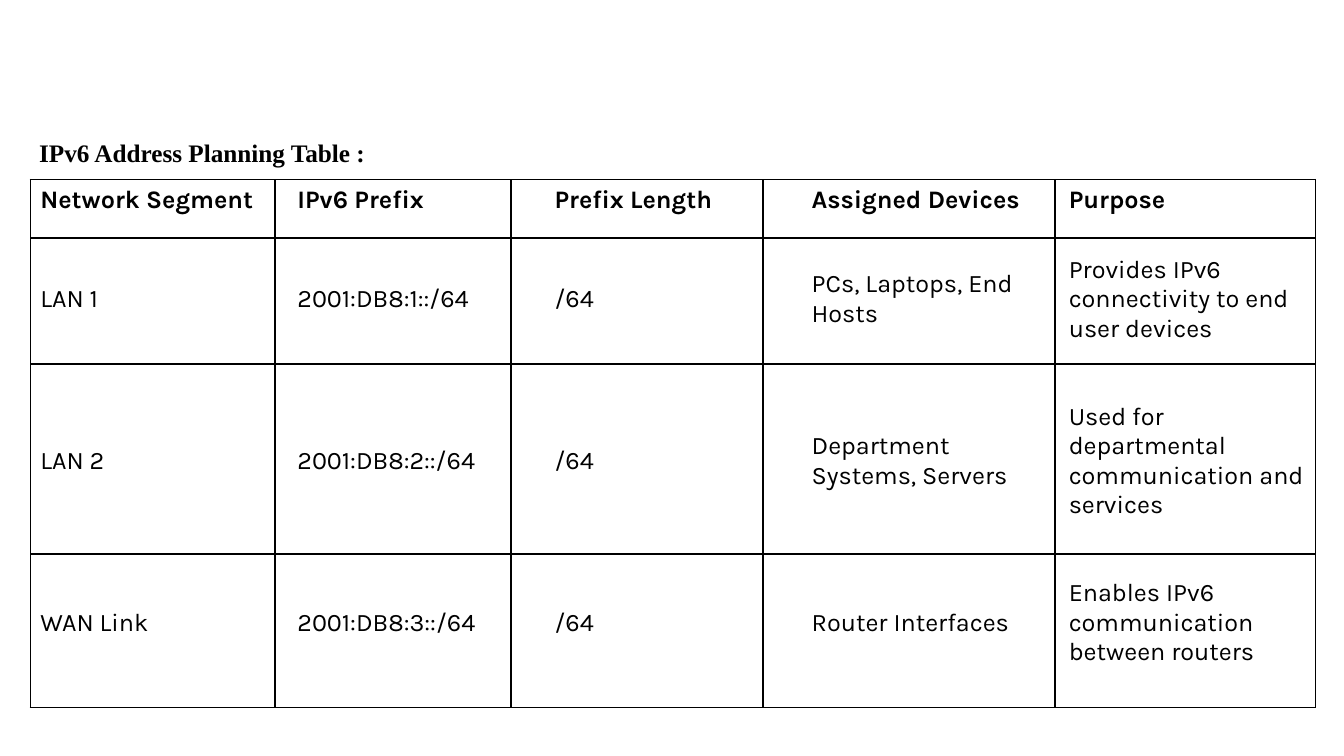
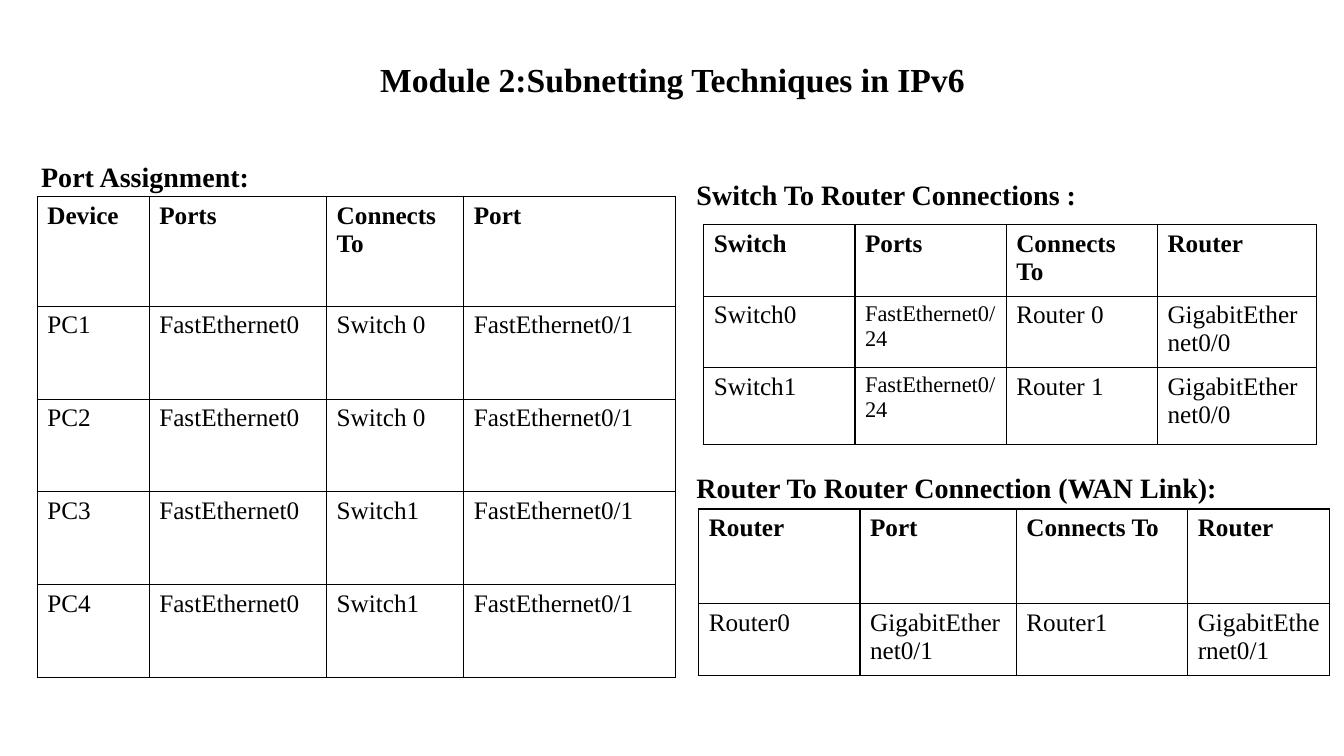
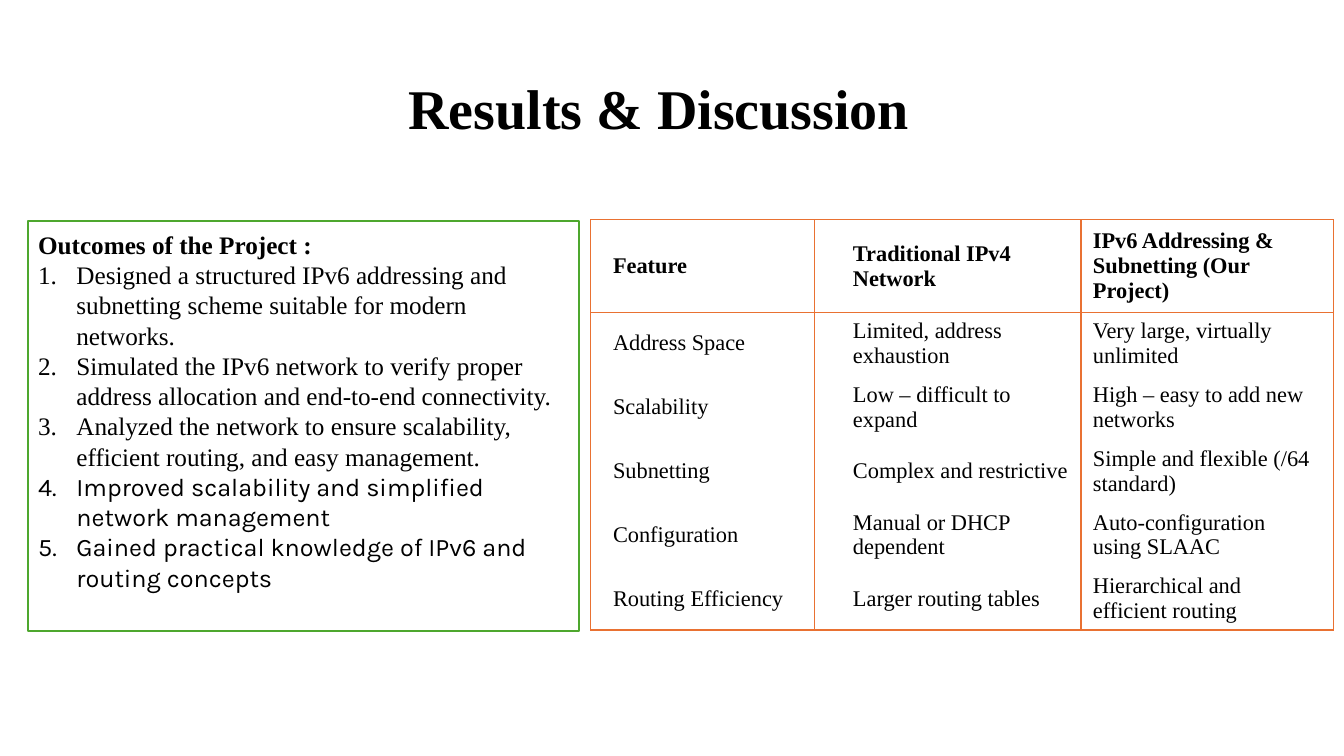
from lxml import etree
from pptx import Presentation
from pptx.dml.color import RGBColor
from pptx.enum import shapes, text
from pptx.oxml import ns
from pptx.util import Inches, Pt

HUES = {"ink": "000000", "paper": "FFFFFF", "green": "4EA72E", "orange": "E97132"}
SERIF, SANS = "Times New Roman", "Karla"
MID = text.MSO_ANCHOR.MIDDLE

PLAN = [
    ["Network Segment", "IPv6 Prefix", "Prefix Length", "Assigned Devices", "Purpose"],
    ["LAN 1", "2001:DB8:1::/64", "/64", "PCs, Laptops, End Hosts",
     "Provides IPv6 connectivity to end user devices"],
    ["LAN 2", "2001:DB8:2::/64", "/64", "Department Systems, Servers",
     "Used for departmental communication and services"],
    ["WAN Link", "2001:DB8:3::/64", "/64", "Router Interfaces",
     "Enables IPv6 communication between routers"],
]
PORTS = [["Device", "Ports", "Connects To", "Port"]] + [
    [f"PC{i}", "FastEthernet0", hub, "FastEthernet0/1"]
    for i, hub in enumerate(["Switch 0", "Switch 0", "Switch1", "Switch1"], 1)
]
LINKS = [["Switch", "Ports", "Connects To", "Router"]] + [
    [f"Switch{i}", "FastEthernet0/24", f"Router {i}", "GigabitEthernet0/0"] for i in range(2)
]
WAN = [
    ["Router", "Port", "Connects To", "Router"],
    ["Router0", "GigabitEthernet0/1", "Router1", "GigabitEthernet0/1"],
]
GAINS = [
    ("Designed a structured IPv6 addressing and subnetting scheme suitable for modern networks.", SERIF),
    ("Simulated the IPv6 network to verify proper address allocation and end-to-end connectivity.", SERIF),
    ("Analyzed the network to ensure scalability, efficient routing, and easy management.", SERIF),
    ("Improved scalability and simplified network management", SANS),
    ("Gained practical knowledge of IPv6 and routing concepts", SANS),
]
TRAITS = [
    ["Feature", "Traditional IPv4 Network", "IPv6 Addressing & Subnetting (Our Project)"],
    ["Address Space", "Limited, address exhaustion", "Very large, virtually unlimited"],
    ["Scalability", "Low – difficult to expand", "High – easy to add new networks"],
    ["Subnetting", "Complex and restrictive", "Simple and flexible (/64 standard)"],
    ["Configuration", "Manual or DHCP dependent", "Auto-configuration using SLAAC"],
    ["Routing Efficiency", "Larger routing tables", "Hierarchical and efficient routing"],
]


def tint(name):
    """Return a named colour."""
    return RGBColor.from_string(HUES[name])


def write(para, words, size, bold=False, font=SERIF):
    """Add one styled run to a paragraph."""
    run = para.add_run()
    run.text = words
    run.font.size, run.font.bold, run.font.name = Pt(size), bold, font
    run.font.color.rgb = tint("ink")


def label(slide, box, words, size, title=False):
    """Place a bold heading, centred when it is the slide title."""
    frame = slide.shapes.add_textbox(*map(Inches, box)).text_frame
    frame.word_wrap = True
    para = frame.paragraphs[0]
    if title:
        frame.vertical_anchor = MID
        para.alignment = text.PP_ALIGN.CENTER
        para.line_spacing = 0.9
    write(para, words, size, True)


def edge(cell, hue):
    """Draw a one-point line on each side of a cell."""
    props = cell._tc.get_or_add_tcPr()
    for i, side in enumerate("LRTB"):
        line = etree.Element(ns.qn(f"a:ln{side}"), w=str(Pt(1)))
        fill = etree.SubElement(line, ns.qn("a:solidFill"))
        etree.SubElement(fill, ns.qn("a:srgbClr"), val=HUES[hue])
        props.insert(i, line)


def grid(slide, at, cols, rows, data, size=18, font=SERIF, anchor=None, hue=None, small=()):
    """Place a table with a bold first row; small holds words set two points down."""
    box = map(Inches, (*at, sum(cols), sum(rows)))
    table = slide.shapes.add_table(len(rows), len(cols), *box).table
    table.first_row = table.horz_banding = False
    for col, wide in zip(table.columns, cols):
        col.width = Inches(wide)
    for r, high in enumerate(rows):
        table.rows[r].height = Inches(high)
        for c, words in enumerate(data[r]):
            cell = table.cell(r, c)
            cell.fill.background()
            if anchor:
                cell.vertical_anchor = anchor
            if words:
                write(cell.text_frame.paragraphs[0], words, size - 2 * (words in small), r == 0, font)
            if hue:
                edge(cell, hue)


def rules(slide, box, hue, width, xs, ys):
    """Frame a box and rule it at offsets from its left and top."""
    left, top, wide, high = box
    grid(slide, (left, top), [wide], [high], [[""]], hue=hue)
    lines = [(left + x, top, left + x, top + high) for x in xs]
    lines += [(left, top + y, left + wide, top + y) for y in ys]
    for ends in lines:
        line = slide.shapes.add_connector(shapes.MSO_CONNECTOR.STRAIGHT, *map(Inches, ends))
        line.line.color.rgb, line.line.width = tint(hue), Pt(width)
        etree.SubElement(line._element.spPr, ns.qn("a:effectLst"))


def gains(slide, box):
    """Place the green box with its numbered outcomes."""
    shape = slide.shapes.add_shape(shapes.MSO_SHAPE.RECTANGLE, *map(Inches, box))
    shape.shadow.inherit = False
    shape.fill.solid()
    shape.fill.fore_color.rgb = tint("paper")
    shape.line.color.rgb, shape.line.width = tint("green"), Pt(1.5)
    frame = shape.text_frame
    frame.word_wrap, frame.vertical_anchor = True, MID
    frame.margin_bottom = Inches(0.35)
    write(frame.paragraphs[0], "Outcomes of the Project :", 18, True)
    for words, font in GAINS:
        para = frame.add_paragraph()
        write(para, words, 18, font=font)
        props = para._p.get_or_add_pPr()
        props.set("marL", str(Inches(0.38)))
        props.set("indent", str(-Inches(0.38)))
        etree.SubElement(props, ns.qn("a:buFont"), typeface="+mj-lt")
        etree.SubElement(props, ns.qn("a:buAutoNum"), type="arabicPeriod")
    for para in frame.paragraphs:
        para.alignment = text.PP_ALIGN.LEFT
        para.line_spacing = Pt(21.6)


def plan(slide):
    """Build the address planning slide."""
    grid(slide, (0.3, 1.71), [2.55] * 5, [0.56, 1.4, 1.81, 1.4], PLAN, font=SANS, anchor=MID)
    rules(slide, (0.3, 1.78, 12.75, 5.24), "ink", 1.5, [2.43, 4.77, 7.27, 10.16], [0.58, 1.83, 3.72])
    label(slide, (0.29, 1.31, 6.67, 0.4), "IPv6 Address Planning Table :", 18)


def wiring(slide):
    """Build the port and link slide."""
    label(slide, (3.04, 0.55, 7.26, 0.52), "Module 2:Subnetting Techniques in IPv6", 24, True)
    label(slide, (0.31, 1.53, 6.3, 0.44), "Port Assignment:", 20)
    grid(slide, (0.37, 1.95), [1.11, 1.76, 1.36, 2.1], [1.09] + [0.92] * 4, PORTS, hue="ink")
    label(slide, (6.81, 1.71, 5.44, 0.44), "Switch To Router Connections :", 20)
    grid(slide, (6.98, 2.23), [1.5, 1.5, 1.5, 1.58], [0.71, 0.71, 0.76], LINKS, hue="ink",
         small=["FastEthernet0/24"])
    label(slide, (6.81, 4.62, 5.44, 0.44), "Router To Router Connection (WAN Link):", 20)
    grid(slide, (6.93, 5.05), [1.6, 1.55, 1.7, 1.41], [0.94, 0.71], WAN, hue="ink")


def results(slide):
    """Build the results slide."""
    label(slide, (3.5, 0.74, 6.07, 0.73), "Results & Discussion", 40, True)
    gains(slide, (0.28, 2.19, 5.46, 4.07))
    grid(slide, (5.98, 2.19), [2.38] * 3, [0.89] + [0.62] * 5, TRAITS, size=16, anchor=MID)
    rules(slide, (5.86, 2.18, 7.37, 4.07), "orange", 1, [2.22, 4.86], [0.92])


def main():
    """Build and save the deck."""
    deck = Presentation()
    deck.slide_width, deck.slide_height = Inches(13.33), Inches(7.5)
    for build in (plan, wiring, results):
        build(deck.slides.add_slide(deck.slide_layouts[6]))
    deck.save("out.pptx")


if __name__ == "__main__":
    main()
